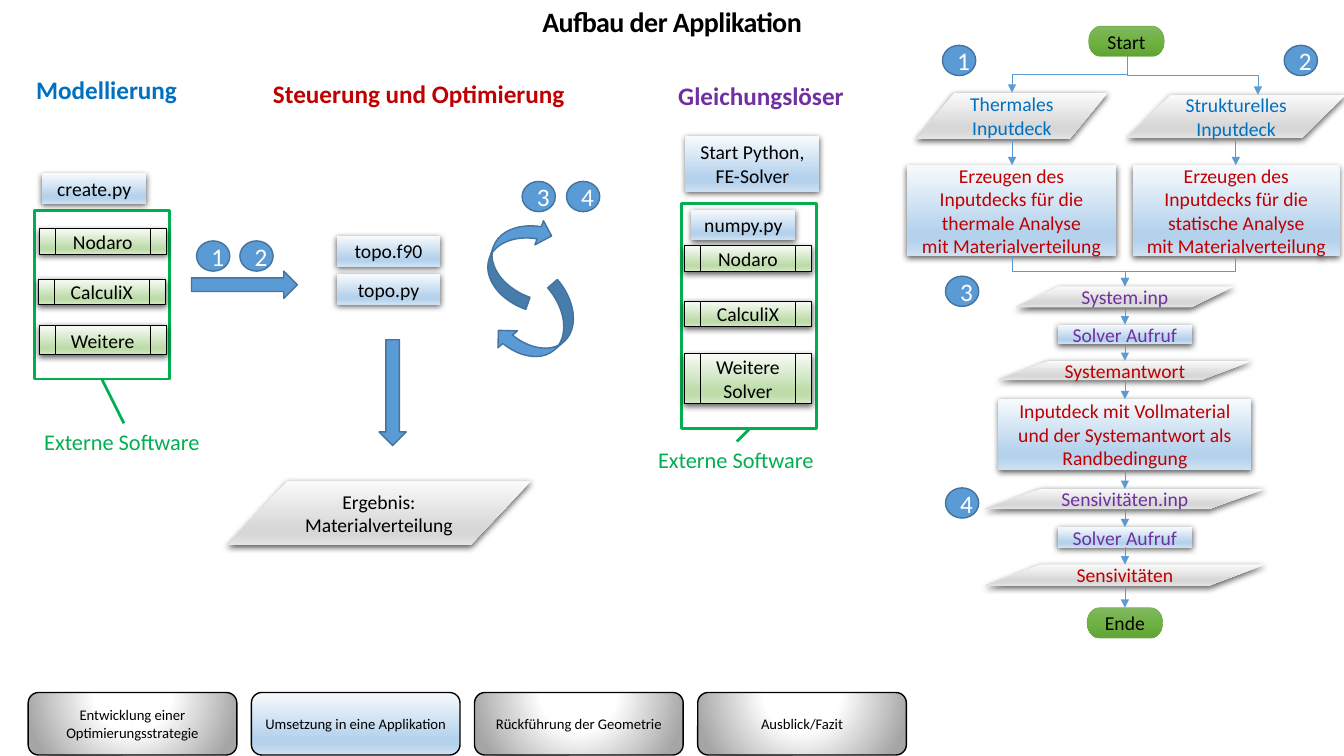
from itertools import pairwise

from lxml import etree
from pptx import Presentation
from pptx.dml.color import RGBColor
from pptx.enum.shapes import MSO_CONNECTOR, MSO_SHAPE
from pptx.enum.text import MSO_ANCHOR, MSO_AUTO_SIZE, PP_ALIGN
from pptx.oxml.ns import qn
from pptx.util import Inches, Pt

RECTANGLE = MSO_SHAPE.RECTANGLE
ROUNDED = MSO_SHAPE.ROUNDED_RECTANGLE
OVAL = MSO_SHAPE.OVAL
DATA = MSO_SHAPE.FLOWCHART_DATA
PROCESS = MSO_SHAPE.FLOWCHART_PREDEFINED_PROCESS
TERMINATOR = MSO_SHAPE.FLOWCHART_TERMINATOR
RIGHT_ARROW = MSO_SHAPE.RIGHT_ARROW
CURVED_ARROW = MSO_SHAPE.CURVED_LEFT_ARROW
STRAIGHT, ELBOW = MSO_CONNECTOR.STRAIGHT, MSO_CONNECTOR.ELBOW
LEFT, CENTER = PP_ALIGN.LEFT, PP_ALIGN.CENTER
MIDDLE = MSO_ANCHOR.MIDDLE
FIT_SHAPE = MSO_AUTO_SIZE.SHAPE_TO_FIT_TEXT

FONT = "Calibri"
COLUMNS, ROWS = 133.33, 75
CELL = Inches(0.1)
BLACK, WHITE = "000000", "FFFFFF"
BLUE, RED, PURPLE, GREEN = "0070C0", "C00000", "7030A0", "00B050"
ARROW_BLUE, ARROW_EDGE = "5B9BD5", "43739E"

BLUE_FADE = [(0, "F7FAFD"), (74, "B5D2EC"), (83, "B5D2EC"), (100, "CEE1F2")]
GRAY_FADE = [(0, "FAFAFA"), (74, "D7D7D7"), (83, "D7D7D7"), (100, "E4E4E4")]
GREEN_FADE = [(0, "F8FBF6"), (74, "BEDCAA"), (83, "BEDCAA"), (100, "D4E8C6")]
END_FADE = [(0, "81B861"), (50, "6FB242"), (100, "62A336")]
STEP_FADE = [(0, "FFFFFF"), (35, "FFFFFF"), (100, "A5A5A5")]

SCRIPT = dict(kind=RECTANGLE, fade=BLUE_FADE, shadow=True)
DECK = dict(kind=DATA, fade=GRAY_FADE, shadow=True)
SOFTWARE = dict(kind=PROCESS, fade=GREEN_FADE, line=(BLACK, 0.75), shadow=True)
TERMINAL = dict(kind=TERMINATOR, fade=END_FADE, line=("70AD47", 0.5))
FRAME = dict(kind=RECTANGLE, line=(GREEN, 2))
SOLID = dict(fill=ARROW_BLUE, line=(ARROW_EDGE, 1))

FLOW_AXIS = 111.6
LEFT_AXIS, RIGHT_AXIS = 100.4, 122.6


def grid(*values):
    return [round(value * CELL) for value in values]


def color(value):
    return RGBColor.from_string(value)


def add_child(parent, tag, **attributes):
    child = etree.SubElement(parent, qn(tag))
    for name, value in attributes.items():
        child.set(name, str(value))
    return child


def write(shape, text, size=14, ink=BLACK, bold=False, align=CENTER, spacing=None):
    frame = shape.text_frame
    for index, line in enumerate(text.split("\n")):
        paragraph = frame.add_paragraph() if index else frame.paragraphs[0]
        paragraph.alignment = align
        run = paragraph.add_run()
        run.text = line
        run.font.name = FONT
        run.font.size = Pt(size)
        run.font.bold = bold
        run.font.color.rgb = color(ink)
        if spacing:
            run._r.get_or_add_rPr().set("spc", str(spacing))


def apply_fade(shape, stops, radial):
    properties = shape.element.spPr
    gradient = etree.Element(qn("a:gradFill"), rotWithShape="1")
    stop_list = add_child(gradient, "a:gsLst")
    for position, value in stops:
        stop = add_child(stop_list, "a:gs", pos=position * 1000)
        add_child(stop, "a:srgbClr", val=value)
    if radial:
        circle = add_child(gradient, "a:path", path="circle")
        add_child(circle, "a:fillToRect", l=50000, t=-80000, r=50000, b=180000)
    else:
        add_child(gradient, "a:lin", ang=5400000, scaled=0)
    properties.find(qn("a:prstGeom")).addnext(gradient)


def apply_shadow(shape):
    effects = shape.element.spPr.find(qn("a:effectLst"))
    shadow = add_child(effects, "a:outerShdw", blurRad=Pt(4.5), dist=Pt(1.5),
                       dir=5400000, algn="ctr", rotWithShape=0)
    shade = add_child(shadow, "a:srgbClr", val=BLACK)
    add_child(shade, "a:alpha", val=63000)


def add_box(slide, place, text="", kind=RECTANGLE, fade=None, radial=False,
            fill=None, line=None, shadow=False, rotation=0, **text_format):
    shape = slide.shapes.add_shape(kind, *grid(*place))
    shape.shadow.inherit = False
    shape.rotation = rotation
    if fade:
        apply_fade(shape, fade, radial)
    elif fill:
        shape.fill.solid()
        shape.fill.fore_color.rgb = color(fill)
    else:
        shape.fill.background()
    if line:
        shape.line.color.rgb = color(line[0])
        shape.line.width = Pt(line[1])
    else:
        shape.line.fill.background()
    if shadow:
        apply_shadow(shape)
    if text:
        shape.text_frame.word_wrap = True
        shape.text_frame.vertical_anchor = MIDDLE
        write(shape, text, **text_format)
    return shape


def add_label(slide, place, text, wrap=False, **text_format):
    box = slide.shapes.add_textbox(*grid(*place))
    box.text_frame.word_wrap = wrap
    box.text_frame.auto_size = FIT_SHAPE
    write(box, text, **text_format)


def add_line(slide, ends, kind=STRAIGHT, ink=ARROW_BLUE, width=0.5, arrow=True):
    connector = slide.shapes.add_connector(kind, *grid(*ends))
    connector.line.color.rgb = color(ink)
    connector.line.width = Pt(width)
    if arrow:
        add_child(connector.line._get_or_add_ln(), "a:tailEnd", type="triangle")
    add_child(connector.element.spPr, "a:effectLst")
    return connector


def add_branch(slide, start_x, start_y, end_x, end_y):
    middle_x, middle_y = (start_x + end_x) / 2, (start_y + end_y) / 2
    half_width, half_height = abs(end_x - start_x) / 2, (end_y - start_y) / 2
    direction = 1 if end_x < start_x else -1
    connector = add_line(slide, (middle_x - direction * half_height, middle_y - half_width,
                                 middle_x + direction * half_height, middle_y + half_width), ELBOW)
    connector.element.spPr.find(qn("a:xfrm")).set("rot", str((180 - direction * 90) * 60000))


def add_steps(slide):
    steps = ["Entwicklung einer Optimierungsstrategie", "Umsetzung in eine Applikation",
             "Rückführung der Geometrie", "Ausblick/Fazit"]
    for index, step in enumerate(steps):
        current = index == 1
        shape = add_box(slide, (2.8 + 22.14 * index, 68.7, 20.7, 6.2), step, ROUNDED,
                        BLUE_FADE if current else STEP_FADE, not current,
                        line=(BLACK, 1), size=10.5)
        frame = shape.text_frame
        frame.margin_left = frame.margin_right = Inches(0.07)
        frame.margin_top = frame.margin_bottom = Inches(0.04)


def add_overview(slide):
    add_label(slide, (0, 0, COLUMNS, 4.4), "Aufbau der Applikation", wrap=True,
              size=20, bold=True, spacing=-40)
    for place, text, ink in [((2.6, 6.9, 16.1, 4), "Modellierung", BLUE),
                             ((26.1, 7.3, 31.2, 4), "Steuerung und Optimierung", RED),
                             ((66.3, 7.5, 18.5, 4), "Gleichungslöser", PURPLE)]:
        add_label(slide, place, text, size=18, ink=ink, bold=True, align=LEFT)
    for frame, label, ends in [
            ((3.4, 20.9, 13.4, 16.7), (3.4, 42), (10.1, 37.6, 12.3, 42)),
            ((67.6, 20.2, 13.4, 22.3), (64.3, 43.8), (74.3, 42.6, 73.1, 43.8))]:
        add_box(slide, frame, **FRAME)
        add_label(slide, (*label, 17.7, 3.7), "Externe Software", size=16, ink=GREEN, align=LEFT)
        add_line(slide, ends, ink=GREEN, width=2, arrow=False)
    add_box(slide, (68, 13.5, 13.3, 5.5), "Start Python, FE-Solver", **SCRIPT)
    for left, top, text in [(4.2, 17.2, "create.py"), (68.6, 20.8, "numpy.py"),
                            (33.4, 27.2, "topo.py"), (33.4, 23.4, "topo.f90")]:
        add_box(slide, (left, top, 10.3, 3), text, **SCRIPT)
    for left, top, height, text in [
            (3.9, 22.7, 2.5, "Nodaro"), (3.8, 27.7, 2.5, "CalculiX"), (3.9, 32.3, 2.9, "Weitere"),
            (67.9, 24.4, 2.5, "Nodaro"), (67.9, 29.9, 2.5, "CalculiX"),
            (67.9, 35.1, 4.9, "Weitere\nSolver")]:
        add_box(slide, (left, top, 12.6, height), text, **SOFTWARE)
    add_box(slide, (22.5, 47.7, 30.2, 6.4), "Ergebnis:\nMaterialverteilung", **DECK)
    for kind, place, rotation in [(RIGHT_ARROW, (19, 26.9, 10.5, 2.7), 0),
                                  (RIGHT_ARROW, (33.7, 37.6, 10.5, 2.7), 90),
                                  (CURVED_ARROW, (51, 28.1, 5.1, 9), 49.2),
                                  (CURVED_ARROW, (48.7, 21.1, 5.1, 9), 199.4)]:
        add_box(slide, place, kind=kind, rotation=rotation, **SOLID)


def add_flow(slide):
    add_box(slide, (108, 2.6, 7.5, 3), "Start", **TERMINAL)
    for axis, deck_place, deck, box_place, analysis in [
            (LEFT_AXIS, (90.9, 9.2, 19, 4.6), "Thermales", (90, 16.4, 20.7, 9), "thermale"),
            (RIGHT_AXIS, (111.8, 9.4, 21.7, 4.3), "Strukturelles", (112.4, 16.4, 20.5, 9), "statische")]:
        add_box(slide, deck_place, f"{deck} Inputdeck", ink=BLUE, **DECK)
        add_box(slide, box_place,
                f"Erzeugen des Inputdecks für die {analysis} Analyse\nmit Materialverteilung",
                ink=RED, **SCRIPT)
        add_line(slide, (axis, deck_place[1] + deck_place[3], axis, 16.4))
        add_branch(slide, axis, 25.4, FLOW_AXIS, 28.4)
    add_branch(slide, 111.8, 5.6, 124.8, 9.4)
    add_branch(slide, 111.8, 5.6, LEFT_AXIS, 9.2)
    stages = [(28.4, 21.7, 2.1, "System.inp", PURPLE, DECK),
              (32.2, 13.3, 1.9, "Solver Aufruf", PURPLE, SCRIPT),
              (35.8, 25.2, 1.9, "Systemantwort", RED, DECK),
              (39.6, 25.1, 7, "Inputdeck mit Vollmaterial und der Systemantwort als Randbedingung",
               RED, SCRIPT),
              (48.5, 27.8, 2, "Sensivitäten.inp", PURPLE, DECK),
              (52.3, 13.3, 2, "Solver Aufruf", PURPLE, SCRIPT),
              (56, 27.8, 2.1, "Sensivitäten", RED, DECK),
              (60.3, 7.5, 3, "Ende", BLACK, TERMINAL)]
    for top, width, height, text, ink, look in stages:
        add_box(slide, (FLOW_AXIS - width / 2, top, width, height), text, ink=ink, **look)
    for upper, lower in pairwise(stages):
        add_line(slide, (FLOW_AXIS, upper[0] + upper[2], FLOW_AXIS, lower[0]))


def add_markers(slide):
    for left, top, number in [(93.8, 27.4, 3), (93.8, 48.4, 4), (51.8, 18, 3), (56.2, 18, 4),
                              (93.5, 4.5, 1), (127.4, 4.5, 2), (19.5, 23.9, 1), (23.8, 23.9, 2)]:
        add_box(slide, (left, top, 3.3, 3), str(number), OVAL, size=18, ink=WHITE, **SOLID)


def main():
    presentation = Presentation()
    presentation.slide_width, presentation.slide_height = grid(COLUMNS, ROWS)
    slide = presentation.slides.add_slide(presentation.slide_layouts[6])
    add_steps(slide)
    add_overview(slide)
    add_flow(slide)
    add_markers(slide)
    presentation.save("out.pptx")


if __name__ == "__main__":
    main()
